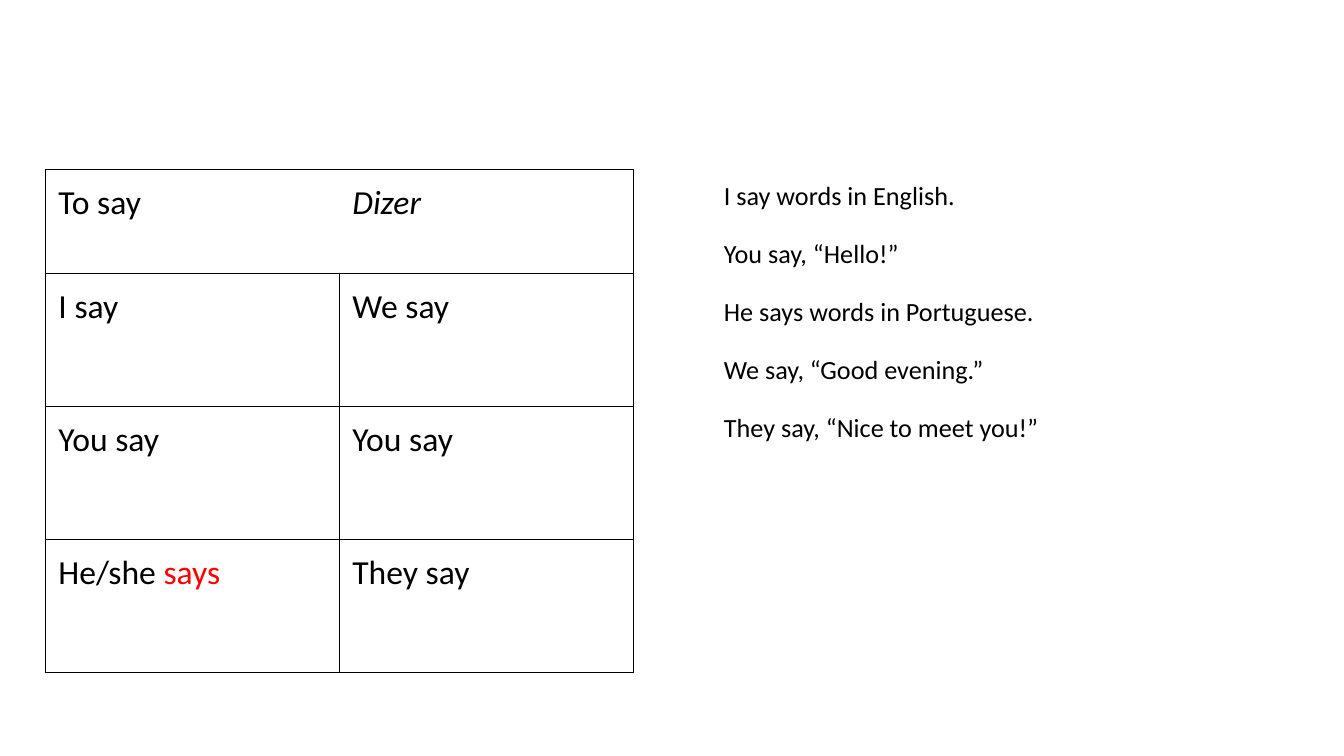
from dataclasses import dataclass
from typing import Any

from lxml import etree
from pptx import Presentation
from pptx.dml.color import RGBColor
from pptx.enum.text import MSO_ANCHOR
from pptx.oxml.ns import qn
from pptx.util import Inches, Length, Pt

TOP = MSO_ANCHOR.TOP
BLANK_LAYOUT = 6


@dataclass(frozen=True)
class Theme:
    font: str = "Calibri"
    ink: str = "000000"
    accent: str = "FF0000"
    paper: str = "FFFFFF"
    verb_size: Length = Pt(24)
    sentence_size: Length = Pt(18.7)
    sentence_gap: Length = Pt(21.3)
    border: Length = Pt(0.75)
    inset: Length = Inches(0.13)


@dataclass(frozen=True)
class Phrase:
    text: str
    ending: str = ""
    italic: bool = False


THEME = Theme()
PANEL_TOP, PANEL_WIDTH, PANEL_HEIGHT = Inches(1.68), Inches(5.83), Inches(4.98)
TABLE_LEFT, SENTENCES_LEFT = Inches(0.45), Inches(7.05)
HEADER_HEIGHT, PRONOUN_HEIGHT = Inches(1.03), Inches(1.32)
INSETS = {f"margin_{side}": THEME.inset for side in ("left", "right", "top", "bottom")}

CONJUGATION = [
    (Phrase("To say"), Phrase("Dizer", italic=True)),
    (Phrase("I say"), Phrase("We say")),
    (Phrase("You say"), Phrase("You say")),
    (Phrase("He/she ", ending="says"), Phrase("They say")),
]
SENTENCES = [
    "I say words in English.",
    "You say, “Hello!”",
    "He says words in Portuguese.",
    "We say, “Good evening.”",
    "They say, “Nice to meet you!”",
]


def apply_format(target: Any, values: dict[str, Any]) -> None:
    for attribute, value in values.items():
        setattr(target, attribute, value)


def add_run(paragraph: Any, text: str, size: Length, color: str, italic: bool = False) -> None:
    run = paragraph.add_run()
    run.text = text
    apply_format(run.font, {"name": THEME.font, "size": size, "italic": italic})
    run.font.color.rgb = RGBColor.from_string(color)


def add_borders(cell: Any, hidden_side: str) -> None:
    """Rule all four sides of the cell except the hidden one."""
    properties = cell._tc.get_or_add_tcPr()
    for side in "LRTB":
        line = etree.SubElement(properties, qn(f"a:ln{side}"), w=str(THEME.border))
        if side == hidden_side:
            etree.SubElement(line, qn("a:noFill"))
        else:
            fill = etree.SubElement(line, qn("a:solidFill"))
            etree.SubElement(fill, qn("a:srgbClr"), val=THEME.ink)


def fill_cell(cell: Any, phrase: Phrase, hidden_side: str) -> None:
    apply_format(cell, {**INSETS, "vertical_anchor": TOP})
    add_borders(cell, hidden_side)
    cell.fill.solid()
    cell.fill.fore_color.rgb = RGBColor.from_string(THEME.paper)
    paragraph = cell.text_frame.paragraphs[0]
    add_run(paragraph, phrase.text, THEME.verb_size, THEME.ink, phrase.italic)
    if phrase.ending:
        add_run(paragraph, phrase.ending, THEME.verb_size, THEME.accent)


def add_conjugation(slide: Any) -> None:
    table = slide.shapes.add_table(
        len(CONJUGATION), 2, TABLE_LEFT, PANEL_TOP, PANEL_WIDTH, PANEL_HEIGHT
    ).table
    apply_format(table, {"first_row": False, "horz_banding": False})
    for row_index, phrases in enumerate(CONJUGATION):
        is_header = row_index == 0
        table.rows[row_index].height = HEADER_HEIGHT if is_header else PRONOUN_HEIGHT
        for column_index, (phrase, inner_side) in enumerate(zip(phrases, "RL")):
            fill_cell(table.cell(row_index, column_index), phrase, inner_side if is_header else "")


def add_sentences(slide: Any) -> None:
    frame = slide.shapes.add_textbox(
        SENTENCES_LEFT, PANEL_TOP, PANEL_WIDTH, PANEL_HEIGHT
    ).text_frame
    apply_format(frame, {**INSETS, "word_wrap": True, "vertical_anchor": TOP})
    for index, sentence in enumerate(SENTENCES):
        paragraph = frame.add_paragraph() if index else frame.paragraphs[0]
        gap = THEME.sentence_gap if index else Pt(0)
        apply_format(paragraph, {"line_spacing": 0.9, "space_before": gap})
        add_run(paragraph, sentence, THEME.sentence_size, THEME.ink)


def main() -> None:
    presentation = Presentation()
    apply_format(presentation, {"slide_width": Inches(13.33), "slide_height": Inches(7.5)})
    slide = presentation.slides.add_slide(presentation.slide_layouts[BLANK_LAYOUT])
    add_sentences(slide)
    add_conjugation(slide)
    presentation.save("out.pptx")


if __name__ == "__main__":
    main()
